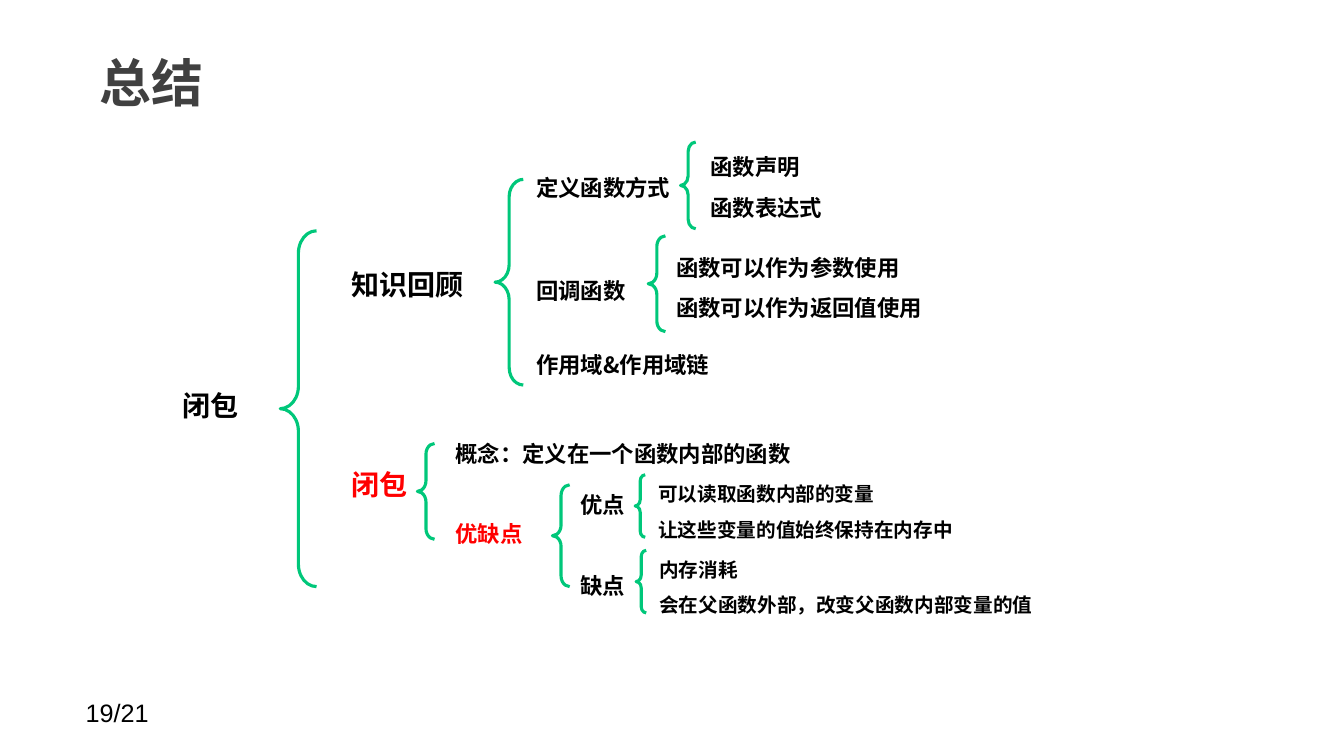
from lxml.etree import SubElement
from pptx import Presentation
from pptx.dml.color import RGBColor
from pptx.enum.shapes import MSO_SHAPE
from pptx.enum.text import MSO_ANCHOR, PP_ALIGN
from pptx.oxml.ns import qn
from pptx.util import Inches, Pt

BLACK = RGBColor(0, 0, 0)
RED = RGBColor(0xFF, 0, 0)
GRAY = RGBColor(0x40, 0x40, 0x40)
GREEN = RGBColor(0x00, 0xC7, 0x7A)
CHINESE_FONT = "Noto Sans CJK SC"
LATIN_FONT = "Arial"

TITLE = "总结"
PAGE_NUMBER = "19/21"

# left, top, width, colour, text
TOPICS = [
    (3.39, 2.6, 1.5, BLACK, "知识回顾"),
    (3.39, 4.59, 0.9, RED, "闭包"),
]
BRANCHES = [
    (5.22, 1.55, 1.73, BLACK, ["定义函数方式"]),
    (5.22, 2.57, 1.21, BLACK, ["回调函数"]),
    (5.22, 3.3, 2.37, BLACK, ["作用域&作用域链"]),
    (6.95, 1.34, 2.73, BLACK, ["函数声明", "函数表达式"]),
    (6.61, 2.34, 2.7, BLACK, ["函数可以作为参数使用", "函数可以作为返回值使用"]),
    (4.42, 4.18, 4.09, BLACK, ["概念：定义在一个函数内部的函数"]),
    (4.42, 4.98, 1, RED, ["优缺点"]),
    (5.66, 4.69, 0.75, BLACK, ["优点"]),
    (5.66, 5.49, 0.75, BLACK, ["缺点"]),
]
DETAILS = [
    (6.43, 4.62, 3.25, BLACK, ["可以读取函数内部的变量", "让这些变量的值始终保持在内存中"]),
    (6.44, 5.37, 3.93, BLACK, ["内存消耗", "会在父函数外部，改变父函数内部变量的值"]),
]
BRACES = [
    (2.78, 2.29, 0.36, 3.53),
    (4.91, 1.78, 0.28, 2.04),
    (6.75, 1.41, 0.15, 0.86),
    (6.43, 2.34, 0.17, 0.95),
    (4.14, 4.4, 0.17, 0.95),
    (5.48, 4.81, 0.17, 1.01),
    (6.3, 4.71, 0.1, 0.62),
    (6.31, 5.46, 0.1, 0.62),
]


def add_text(slide, left, top, width, height, lines, size, color=BLACK,
             font=CHINESE_FONT, bold=True, spacing=1.0, align=PP_ALIGN.LEFT):
    box = slide.shapes.add_textbox(Inches(left), Inches(top), Inches(width), Inches(height))
    frame = box.text_frame
    frame.word_wrap = True
    frame.text = "\n".join(lines)
    for paragraph in frame.paragraphs:
        paragraph.alignment = align
        paragraph.line_spacing = spacing
        paragraph.font.name = font
        paragraph.font.size = Pt(size)
        paragraph.font.bold = bold
        paragraph.font.color.rgb = color
        properties = paragraph._p.pPr.find(qn("a:defRPr"))
        SubElement(properties, qn("a:ea")).set("typeface", font)
    return frame


def add_brace(slide, left, top, width, height):
    brace = slide.shapes.add_shape(
        MSO_SHAPE.LEFT_BRACE, Inches(left), Inches(top), Inches(width), Inches(height))
    brace.adjustments[0] = 0.62
    brace.shadow.inherit = False
    brace.fill.background()
    brace.line.color.rgb = GREEN
    brace.line.width = Pt(2.25)


def main():
    presentation = Presentation()
    presentation.slide_width = Inches(13.33)
    presentation.slide_height = Inches(7.5)
    slide = presentation.slides.add_slide(presentation.slide_layouts[6])

    add_text(slide, 0.75, 6.87, 2.33, 0.4, [PAGE_NUMBER], 18, font=LATIN_FONT, bold=False)
    title = add_text(slide, 0.86, 0.3, 10.41, 1.03, [TITLE], 37, GRAY)
    title.vertical_anchor = MSO_ANCHOR.MIDDLE
    title.margin_left = title.margin_right = Inches(0.13)

    add_text(slide, 1.53, 3.81, 1.12, 0.5, ["闭包"], 20, align=PP_ALIGN.CENTER)
    for left, top, width, color, text in TOPICS:
        add_text(slide, left, top, width, 0.5, [text], 20, color)
    for nodes, size, line_height in ((BRANCHES, 16, 0.4), (DETAILS, 14, 0.35)):
        for left, top, width, color, lines in nodes:
            height = 0.1 + line_height * len(lines)
            add_text(slide, left, top, width, height, lines, size, color, spacing=1.5)
    for brace in BRACES:
        add_brace(slide, *brace)

    presentation.save("out.pptx")


if __name__ == "__main__":
    main()
